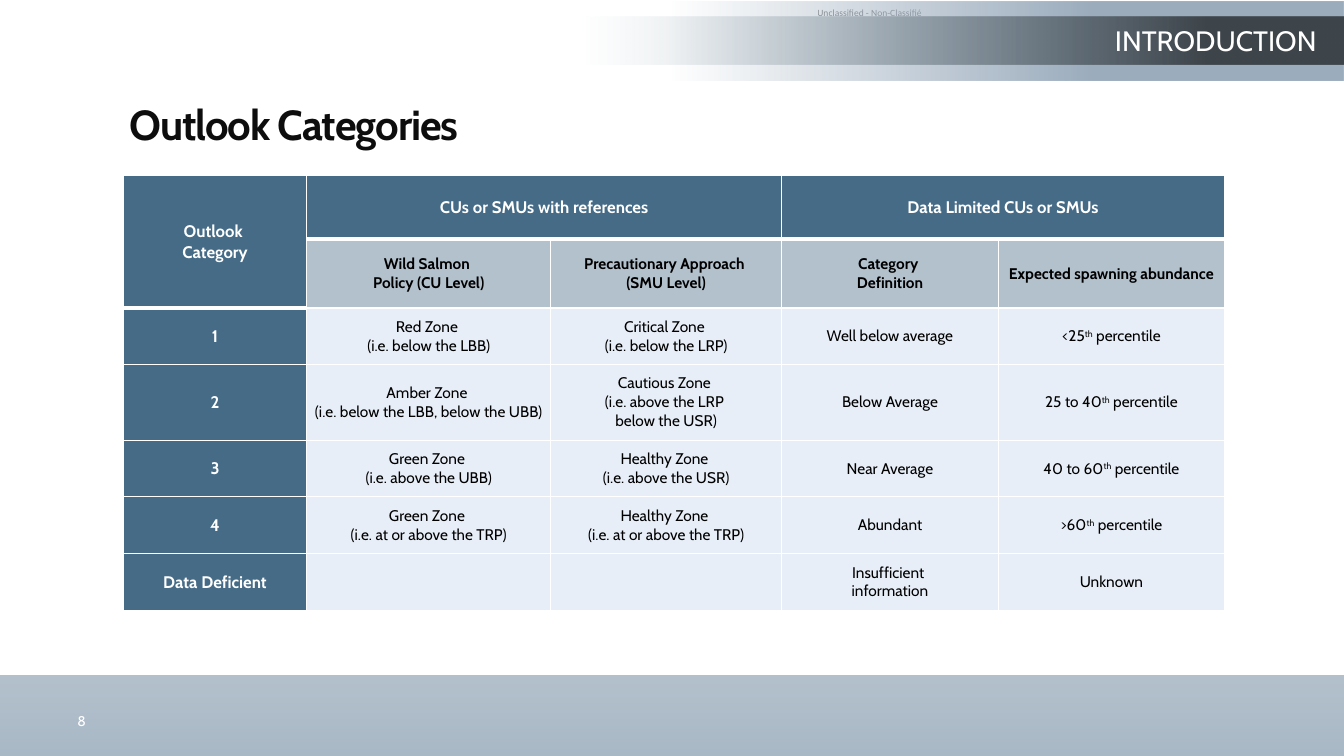
from typing import NamedTuple, Optional

from lxml import etree
from pptx import Presentation
from pptx import util as u
from pptx.dml.color import RGBColor
from pptx.enum import shapes, text
from pptx.oxml.ns import qn

FONT = "Cabin"
WHITE = RGBColor(0xFF, 0xFF, 0xFF)
BLACK = RGBColor(0x00, 0x00, 0x00)
TITLE_INK = RGBColor(0x0D, 0x0D, 0x0D)
FOOTER_BLUE = RGBColor(0x94, 0xA7, 0xB8)
STRIP_BLUE = RGBColor(0x9C, 0xAD, 0xBE)
BAND_BLUE = RGBColor(0x97, 0xAD, 0xBB)
BAND_DARK = RGBColor(0x3E, 0x45, 0x4B)
HEADER_BLUE = RGBColor(0x45, 0x6B, 0x87)
SUBHEADER_GREY = RGBColor(0xB3, 0xC1, 0xCD)
BODY_BLUE = RGBColor(0xE7, 0xEE, 0xF7)

SLIDE_WIDTH, SLIDE_HEIGHT = 33.87, 19.05


class Stop(NamedTuple):
    position: int
    color: RGBColor
    alpha: int = 100


class Band(NamedTuple):
    left: float
    top: float
    width: float
    height: float
    stops: list[Stop]
    angle: int = 0


class Label(NamedTuple):
    wording: str
    left: float
    top: float
    width: float
    height: float
    size: float
    color: RGBColor
    font: str = FONT
    bold: bool = False
    align: text.PP_ALIGN = text.PP_ALIGN.LEFT
    anchor: text.MSO_ANCHOR = text.MSO_ANCHOR.TOP
    inset: Optional[float] = None
    line_spacing: Optional[float] = None
    tracking: Optional[int] = None
    alpha: Optional[int] = None


class CellStyle(NamedTuple):
    fill: RGBColor
    color: RGBColor
    size: int
    bold: bool
    margin_x: float = 0.15
    margin_y: float = 0


HEADER = CellStyle(HEADER_BLUE, WHITE, 12, True, 0.25, 0.13)
SUBHEADER = CellStyle(SUBHEADER_GREY, BLACK, 11, True)
CATEGORY = CellStyle(HEADER_BLUE, WHITE, 12, True)
BODY = CellStyle(BODY_BLUE, BLACK, 11, False)

BANDS = [
    Band(0, 2.34, SLIDE_WIDTH, 16.71, [Stop(0, FOOTER_BLUE, 0), Stop(100, FOOTER_BLUE, 80)], 270),
    Band(0, 2.03, SLIDE_WIDTH, 14.98, [Stop(0, WHITE)]),
    Band(16.93, 0.03, 16.94, 2, [Stop(0, STRIP_BLUE, 0), Stop(63, STRIP_BLUE), Stop(100, STRIP_BLUE)]),
    Band(9.34, 0.41, 24.53, 1.22, [Stop(22, BAND_BLUE, 0), Stop(86, BAND_DARK), Stop(100, BAND_DARK)]),
]

CLASSIFICATION = Label("Unclassified - Non-Classifié", 20.6, 0.18, 4.72, 0.28, 6.8, BLACK,
                       font="Calibri", inset=0, alpha=50)
LABELS = [
    Label("8", 1.7, 17.93, 3.63, 0.46, 10, WHITE, anchor=text.MSO_ANCHOR.MIDDLE),
    Label("Outlook Categories", -3.56, 2.51, 21.95, 1.8, 30, TITLE_INK, bold=True,
          align=text.PP_ALIGN.CENTER, line_spacing=0.9, tracking=-80),
    Label("INTRODUCTION", 23.14, 0.48, 10.29, 0.97, 20, WHITE, align=text.PP_ALIGN.RIGHT),
]

COLUMN_WIDTHS = [4.62, 6.15, 5.82, 5.46, 5.7]
ROW_HEIGHTS = [1.6, 1.73, 1.42, 1.91, 1.43, 1.43, 1.43]
# Text between two carets is raised.
OUTLOOKS = [
    ["Outlook \nCategory", "CUs or SMUs with references", "", "Data Limited CUs or SMUs", ""],
    ["", "Wild Salmon \nPolicy (CU Level)", "Precautionary Approach \n(SMU Level)",
     "Category \nDefinition", "Expected spawning abundance"],
    ["1", "Red Zone \n(i.e. below the LBB)", "Critical Zone \n(i.e. below the LRP)",
     "Well below average", "<25^th^ percentile"],
    ["2", "Amber Zone \n(i.e. below the LBB, below the UBB)",
     "Cautious Zone \n(i.e. above the LRP \nbelow the USR)", "Below Average", "25 to 40^th^ percentile"],
    ["3", "Green Zone \n(i.e. above the UBB)", "Healthy Zone \n(i.e. above the USR)",
     "Near Average", "40 to 60^th^ percentile"],
    ["4", "Green Zone \n(i.e. at or above the TRP)", "Healthy Zone \n(i.e. at or above the TRP)",
     "Abundant", ">60^th^ percentile"],
    ["Data Deficient", "", "", "Insufficient \ninformation", "Unknown"],
]
MERGES = [((0, 0), (1, 0)), ((0, 1), (0, 2)), ((0, 3), (0, 4))]


def add_color(parent, color: RGBColor, alpha: int) -> None:
    srgb = etree.SubElement(parent, qn("a:srgbClr"), val=str(color))
    if alpha < 100:
        etree.SubElement(srgb, qn("a:alpha"), val=str(alpha * 1000))


def draw_band(slide, band: Band) -> None:
    shape = slide.shapes.add_shape(shapes.MSO_SHAPE.RECTANGLE, u.Cm(band.left), u.Cm(band.top),
                                   u.Cm(band.width), u.Cm(band.height))
    shape.shadow.inherit = False
    shape.line.fill.background()
    if len(band.stops) == 1:
        shape.fill.solid()
        shape.fill.fore_color.rgb = band.stops[0].color
        return
    shape.fill.gradient()
    shape.fill.gradient_angle = band.angle
    stop_list = shape._element.spPr.find(qn("a:gradFill")).find(qn("a:gsLst"))
    for default_stop in list(stop_list):
        stop_list.remove(default_stop)
    for stop in band.stops:
        gradient_stop = etree.SubElement(stop_list, qn("a:gs"), pos=str(stop.position * 1000))
        add_color(gradient_stop, stop.color, stop.alpha)


def style_font(font, name: str, size: float, color: RGBColor, bold: bool) -> None:
    font.name, font.size, font.bold = name, u.Pt(size), bold
    font.color.rgb = color


def draw_label(slide, label: Label) -> None:
    box = slide.shapes.add_textbox(u.Cm(label.left), u.Cm(label.top), u.Cm(label.width), u.Cm(label.height))
    frame = box.text_frame
    frame.word_wrap = True
    frame.vertical_anchor = label.anchor
    if label.inset is not None:
        frame.margin_left = frame.margin_right = frame.margin_top = frame.margin_bottom = u.Cm(label.inset)
    frame.text = label.wording
    paragraph = frame.paragraphs[0]
    paragraph.alignment = label.align
    paragraph.line_spacing = label.line_spacing
    run = paragraph.runs[0]
    style_font(run.font, label.font, label.size, label.color, label.bold)
    properties = run._r.get_or_add_rPr()
    if label.tracking is not None:
        properties.set("spc", str(label.tracking))
    if label.alpha is not None:
        ink = properties.find(qn("a:solidFill"))
        ink.clear()
        add_color(ink, label.color, label.alpha)


def set_borders(cell, row: int, column: int) -> None:
    """White 1 pt edges, with 3 pt below the top header cells."""
    thick_top = (row == 1 and column > 0) or (row == 2 and column == 0)
    thick_bottom = row == 0 or (row, column) == (1, 0)
    widths = {"lnL": 1, "lnR": 1, "lnT": 3 if thick_top else 1, "lnB": 3 if thick_bottom else 1}
    for edge, width in widths.items():
        line = etree.SubElement(cell._tc.get_or_add_tcPr(), qn(f"a:{edge}"), w=str(u.Pt(width)))
        add_color(etree.SubElement(line, qn("a:solidFill")), WHITE, 100)


def style_for(row: int, column: int) -> CellStyle:
    if row == 0 or (row, column) == (1, 0):
        return HEADER
    if row == 1:
        return SUBHEADER
    return CATEGORY if column == 0 else BODY


def fill_cell(cell, wording: str, style: CellStyle) -> None:
    cell.fill.solid()
    cell.fill.fore_color.rgb = style.fill
    cell.vertical_anchor = text.MSO_ANCHOR.MIDDLE
    cell.margin_left = cell.margin_right = u.Cm(style.margin_x)
    cell.margin_top = cell.margin_bottom = u.Cm(style.margin_y)
    if not wording:
        return
    cell.text_frame.text = wording
    for paragraph in cell.text_frame.paragraphs:
        paragraph.alignment = text.PP_ALIGN.CENTER
        first, *others = paragraph.text.split("^")
        paragraph.text = first
        for index, part in enumerate(others):
            run = paragraph.add_run()
            run.text = part
            if index % 2 == 0:
                run._r.get_or_add_rPr().set("baseline", "30000")
        for run in paragraph.runs:
            style_font(run.font, FONT, style.size, style.color, style.bold)


def draw_outlook_table(slide) -> None:
    table = slide.shapes.add_table(len(ROW_HEIGHTS), len(COLUMN_WIDTHS), u.Cm(3.11), u.Cm(4.43),
                                   u.Cm(sum(COLUMN_WIDTHS)), u.Cm(sum(ROW_HEIGHTS))).table
    table.first_row = table.horz_banding = False
    for column, width in zip(table.columns, COLUMN_WIDTHS):
        column.width = u.Cm(width)
    for row, height in zip(table.rows, ROW_HEIGHTS):
        row.height = u.Cm(height)
    for start, end in MERGES:
        table.cell(*start).merge(table.cell(*end))
    for row, wordings in enumerate(OUTLOOKS):
        for column, wording in enumerate(wordings):
            cell = table.cell(row, column)
            set_borders(cell, row, column)
            fill_cell(cell, wording, style_for(row, column))


def main() -> None:
    deck = Presentation()
    deck.slide_width, deck.slide_height = u.Cm(SLIDE_WIDTH), u.Cm(SLIDE_HEIGHT)
    slide = deck.slides.add_slide(deck.slide_layouts[6])
    draw_label(slide, CLASSIFICATION)
    for band in BANDS:
        draw_band(slide, band)
    for label in LABELS:
        draw_label(slide, label)
    draw_outlook_table(slide)
    deck.save("out.pptx")


if __name__ == "__main__":
    main()
